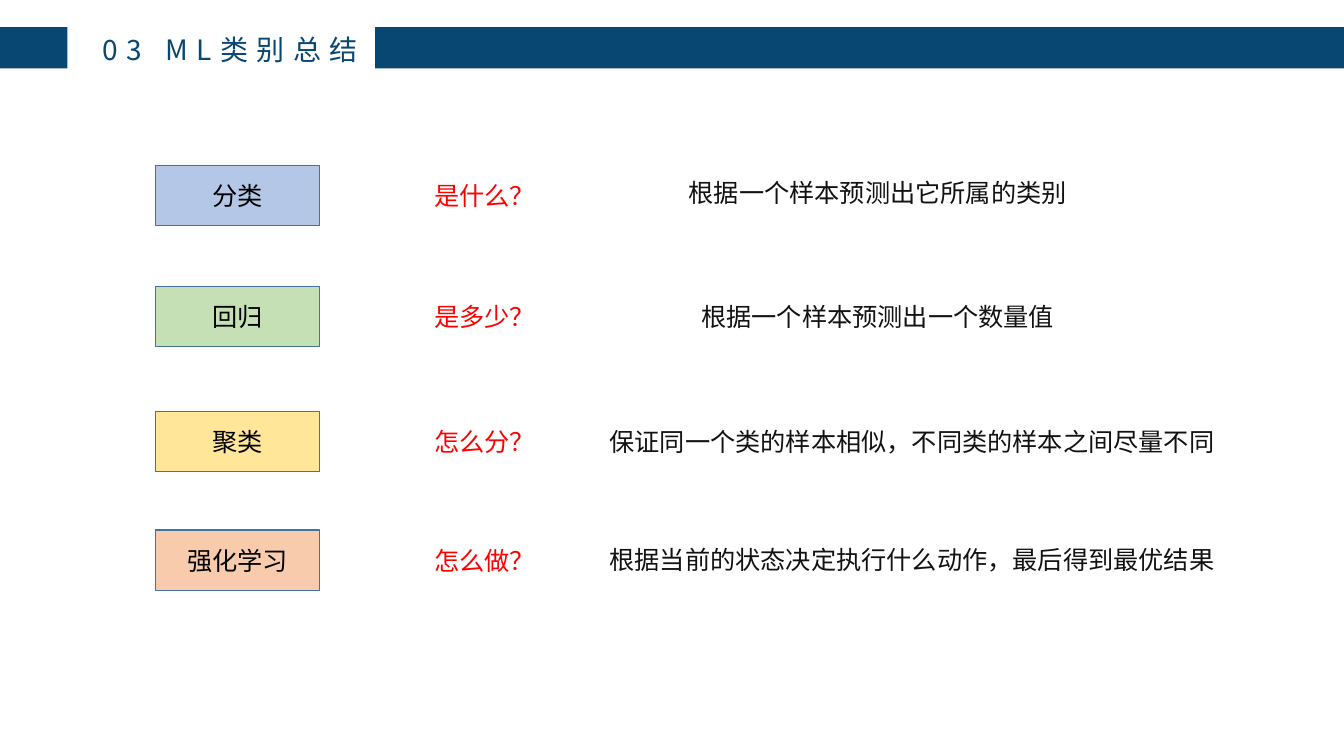
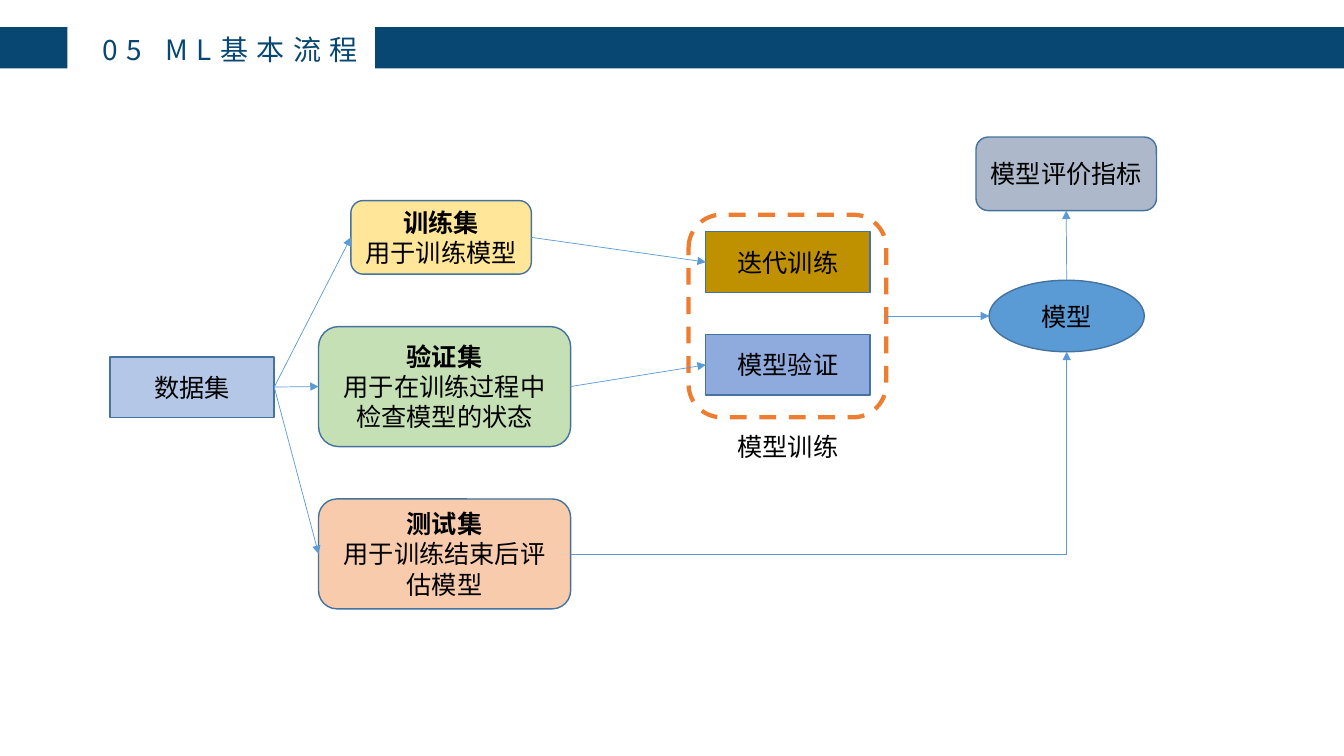
from pptx import Presentation
from pptx.dml.color import RGBColor
from pptx.enum.dml import MSO_LINE
from pptx.enum.shapes import MSO_CONNECTOR, MSO_SHAPE
from pptx.enum.text import MSO_ANCHOR, MSO_AUTO_SIZE, PP_ALIGN
from pptx.oxml.ns import qn
from pptx.util import Inches, Pt
from lxml.etree import SubElement

COLORS = {
    "navy": "084772", "outline": "43739E", "arrow": "5B9BD5", "frame": "ED7D31",
    "black": "000000", "ink": "121212", "red": "FF0000",
    "blue": "B4C7E7", "green": "C5E0B4", "yellow": "FFE699", "orange": "F8CBAD",
    "gold": "BF9000", "indigo": "8FAADC", "sky": "5B9BD5", "gray": "ADB9CA",
}
BODY_FONT, TITLE_FONT = "Calibri", "Noto Sans CJK SC"
RECT, ROUND, OVAL = MSO_SHAPE.RECTANGLE, MSO_SHAPE.ROUNDED_RECTANGLE, MSO_SHAPE.OVAL
SIDES = {"top": (0.5, 0), "left": (0, 0.5), "bottom": (0.5, 1), "right": (1, 0.5)}
SITES = {side: index for index, side in enumerate(SIDES)}


def color(name):
    """Return the named colour."""
    return RGBColor.from_string(COLORS[name])


def side_point(box, side):
    """Return the middle of one side of a box."""
    across, down = SIDES[side]
    return round(box.left + box.width * across), round(box.top + box.height * down)


class Slides:
    """Deck style and the slide being filled."""

    def __init__(self):
        """Start an empty widescreen deck."""
        self.deck = Presentation()
        self.deck.slide_width, self.deck.slide_height = Inches(13.33), Inches(7.5)
        self.page = None

    def new_page(self, title):
        """Add a slide with the split band and its title."""
        self.page = self.deck.slides.add_slide(self.deck.slide_layouts[5])
        for left, width in ((0, 0.67), (3.72, 9.61)):
            self.shape(RECT, (left, 0.27, width, 0.41), "navy")
        box = self.page.shapes.title
        box.left, box.top, box.width, box.height = map(Inches, (0.74, 0.27, 2.91, 0.44))
        frame = box.text_frame
        frame.word_wrap = False
        frame.auto_size = MSO_AUTO_SIZE.SHAPE_TO_FIT_TEXT
        frame.vertical_anchor = MSO_ANCHOR.TOP
        para = frame.paragraphs[0]
        para.alignment = PP_ALIGN.RIGHT
        span = para.add_run()
        span.text = title
        span.font.name, span.font.size = TITLE_FONT, Pt(20)
        span.font.color.rgb = color("navy")
        properties = span._r.get_or_add_rPr()
        properties.set("spc", "600")
        SubElement(properties, qn("a:ea"), typeface=TITLE_FONT)

    def shape(self, kind, place, fill=None, line=None, weight=1):
        """Add a preset shape with optional fill and outline."""
        box = self.page.shapes.add_shape(kind, *map(Inches, place))
        box.shadow.inherit = False
        if fill:
            box.fill.solid()
            box.fill.fore_color.rgb = color(fill)
        else:
            box.fill.background()
        if line:
            box.line.color.rgb = color(line)
            box.line.width = Pt(weight)
        else:
            box.line.fill.background()
        return box

    def fill_text(self, frame, lines, ink="black", align=PP_ALIGN.CENTER):
        """Set body paragraphs, the first of several in bold."""
        frame.word_wrap = True
        for index, line in enumerate(lines):
            para = frame.add_paragraph() if index else frame.paragraphs[0]
            para.text = line
            para.alignment = align
            para.font.name, para.font.size = BODY_FONT, Pt(18)
            para.font.bold = len(lines) > 1 and index == 0
            para.font.color.rgb = color(ink)
            para._p.get_or_add_pPr().set("hangingPunct", "1")

    def node(self, kind, place, fill, *lines):
        """Add an outlined box with centred text."""
        box = self.shape(kind, place, fill, "outline")
        box.text_frame.vertical_anchor = MSO_ANCHOR.MIDDLE
        self.fill_text(box.text_frame, lines)
        return box

    def text(self, place, line, ink="black", align=PP_ALIGN.CENTER):
        """Add a one-paragraph text box."""
        frame = self.page.shapes.add_textbox(*map(Inches, place)).text_frame
        frame.auto_size = MSO_AUTO_SIZE.SHAPE_TO_FIT_TEXT
        self.fill_text(frame, [line], ink, align)

    def dashed_frame(self, place):
        """Add an unfilled dashed frame."""
        box = self.shape(ROUND, place, line="frame", weight=3)
        box.line.dash_style = MSO_LINE.DASH
        return box

    def arrow(self, start, start_side, end, end_side, bent=False):
        """Join two boxes with an arrow, bent once if asked."""
        style = MSO_CONNECTOR.ELBOW if bent else MSO_CONNECTOR.STRAIGHT
        arrow = self.page.shapes.add_connector(
            style, *side_point(start, start_side), *side_point(end, end_side))
        arrow.line.color.rgb = color("arrow")
        arrow.line.width = Pt(0.5)
        properties = arrow._element.spPr
        SubElement(properties.find(qn("a:ln")), qn("a:tailEnd"), type="triangle")
        SubElement(properties, qn("a:effectLst"))
        if bent:
            properties.find(qn("a:prstGeom")).set("prst", "bentConnector2")
            return
        arrow.begin_connect(start, SITES[start_side])
        if end.auto_shape_type != OVAL:
            arrow.end_connect(end, SITES[end_side])


def build_summary(slides):
    """Build the summary of learning types."""
    slides.new_page("03 ML类别总结")
    short, long = (6.32, 4.77), (5.78, 6.53)
    rows = (
        (1.64, "blue", "分类", "是什么？", 1.71, short, "根据一个样本预测出它所属的类别"),
        (2.84, "green", "回归", "是多少？", 2.94, short, "根据一个样本预测出一个数量值"),
        (4.08, "yellow", "聚类", "怎么分？", 4.18, long,
         "保证同一个类的样本相似，不同类的样本之间尽量不同"),
        (5.26, "orange", "强化学习", "怎么做？", 5.35, long,
         "根据当前的状态决定执行什么动作，最后得到最优结果"),
    )
    for top, fill, name, question, answer_top, (left, width), answer in rows:
        slides.node(RECT, (1.54, top, 1.63, 0.6), fill, name)
        slides.text((4.21, top + 0.1, 1.06, 0.4), question, "red", PP_ALIGN.LEFT)
        slides.text((left, answer_top, width, 0.4), answer, "ink")


def build_workflow(slides):
    """Build the workflow from data set to evaluated model."""
    slides.new_page("05 ML基本流程")
    dataset = slides.node(RECT, (1.09, 3.54, 1.63, 0.6), "blue", "数据集")
    training = slides.node(ROUND, (3.48, 1.99, 1.79, 0.73), "yellow",
                           "训练集", "用于训练模型")
    validation = slides.node(ROUND, (3.16, 3.24, 2.5, 1.19), "green",
                             "验证集", "用于在训练过程中检查模型的状态")
    testing = slides.node(ROUND, (3.16, 4.95, 2.5, 1.09), "orange",
                          "测试集", "用于训练结束后评估模型")
    iterate = slides.node(RECT, (7, 2.3, 1.63, 0.6), "gold", "迭代训练")
    check = slides.node(RECT, (7, 3.32, 1.63, 0.6), "indigo", "模型验证")
    model = slides.node(OVAL, (9.81, 2.78, 1.54, 0.71), "sky", "模型")
    loop = slides.dashed_frame((6.83, 2.13, 1.96, 2.01))
    slides.text((7.14, 4.23, 1.35, 0.4), "模型训练")
    metrics = slides.node(ROUND, (9.68, 1.36, 1.79, 0.73), "gray", "模型评价指标")
    for subset in (training, validation, testing):
        slides.arrow(dataset, "right", subset, "left")
    for start, end in ((training, iterate), (validation, check), (loop, model)):
        slides.arrow(start, "right", end, "left")
    slides.arrow(testing, "right", model, "bottom", bent=True)
    slides.arrow(model, "top", metrics, "bottom")


slides = Slides()
build_summary(slides)
build_workflow(slides)
slides.deck.save("out.pptx")
